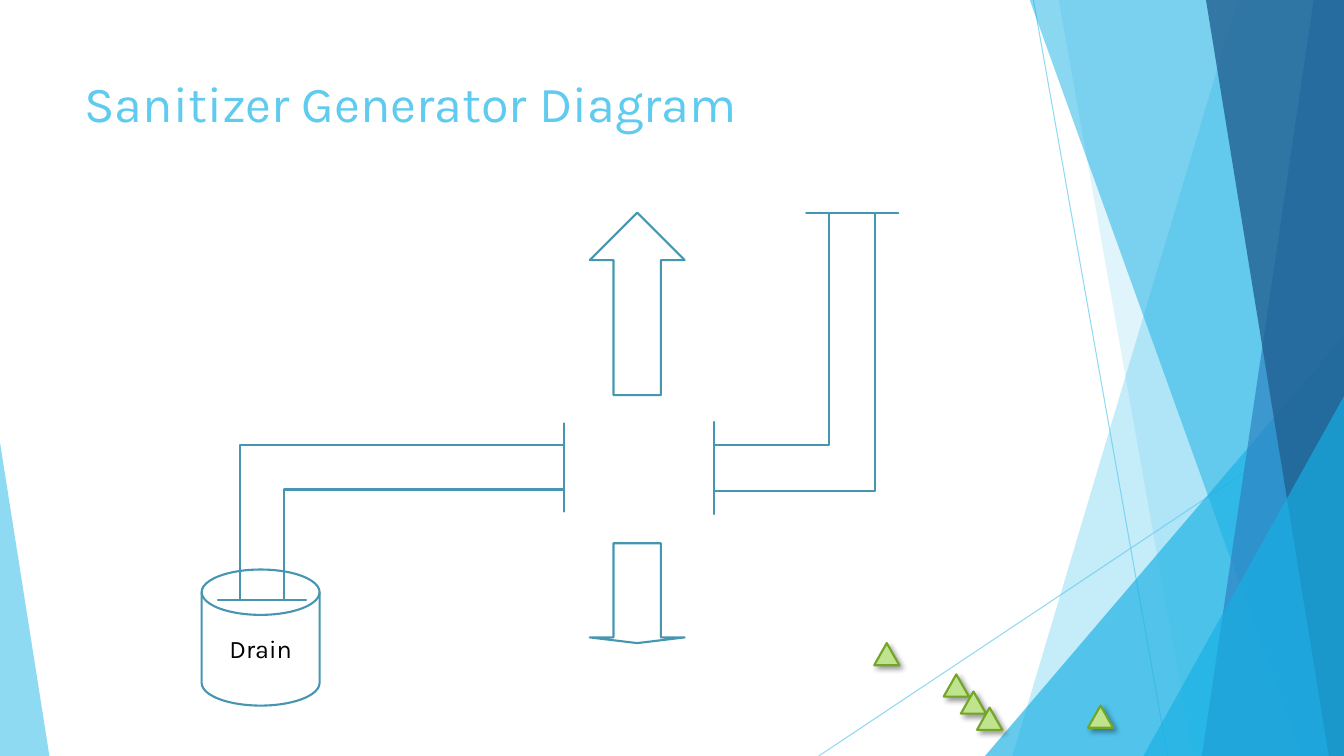
from lxml import etree
from pptx import Presentation
from pptx import util as u
from pptx.dml.color import RGBColor
from pptx.enum import shapes, text
from pptx.oxml import ns

HUES = {"sky": "5FCBEF", "cyan": "17B0E4", "blue": "2E83C3", "navy": "226292",
        "pipe": "4696B1", "leaf": "C0E38D", "stem": "72A528", "black": "000000"}
WIDE, HIGH = 13.33, 7.5
KIND = shapes.MSO_SHAPE
TITLE = "Sanitizer Generator Diagram"

RAYS = [(10.25, 0, 11.58, HIGH), (WIDE, 4.03, 8.12, HIGH)]
BLADES = [
    ("band", 12.28, 10.04, "sky", 36),
    ("band", 10.5, 11.83, "sky", 20),
    ("peak", (9.77, 3.33, 3.56, 4.17), 1, "cyan", 66),
    ("band", 10.21, 12.91, "cyan", 50),
    ("band", 13.03, 11.92, "blue", 70),
    ("band", 11.96, 13.18, "navy", 80),
    ("peak", (11.34, 3.93, 1.99, 3.57), 1, "cyan", 66),
    ("peak", (0, 4.39, 0.49, 3.11), 0, "sky", 70),
]
BEND = (0.25, 0.25, 0)
PARTS = [
    (KIND.LEFT_UP_ARROW, (7.08, 2.11, 1.83, 2.99), BEND, 0, False, ""),
    (KIND.FLOWCHART_MAGNETIC_DISK, (2, 5.65, 1.17, 1.35), (), 0, False, "Drain"),
    (KIND.LEFT_UP_ARROW, (3, 3.36, 1.75, 3.43), BEND, 270, True, ""),
    (KIND.UP_ARROW, (5.85, 2.11, 0.94, 1.81), (), 0, False, ""),
    (KIND.UP_ARROW, (5.85, 5.39, 0.94, 0.99), (0.5, 0.06), 0, True, ""),
]
MARKS = [(8.67, 6.38), (9.36, 6.69), (9.53, 6.86), (9.69, 7.02), (10.79, 7)]

deck = Presentation()
deck.slide_width, deck.slide_height = u.Inches(WIDE), u.Inches(HIGH)
slide = deck.slides.add_slide(deck.slide_layouts[6])
tree = slide.shapes


def put(item, **vals):
    for key, val in vals.items():
        setattr(item, key, val)


def lens(nums):
    return [u.Inches(n) for n in nums]


def sub(node, tag, **vals):
    return etree.SubElement(node, ns.qn("a:" + tag), {k: str(v) for k, v in vals.items()})


def tint(fill, hue, alpha=100):
    fill.solid()
    fill.fore_color.rgb = RGBColor.from_string(HUES[hue])
    if alpha < 100:
        color = fill._xPr.find(".//" + ns.qn("a:srgbClr"))
        sub(color, "alpha", val=alpha * 1000)


def edge(item, hue, width, alpha=100):
    tint(item.line.fill, hue, alpha)
    item.line.width = u.Pt(width)


def form(kind, box, adj=()):
    item = tree.add_shape(kind, *lens(box))
    item.shadow.inherit = False
    for i, val in enumerate(adj):
        item.adjustments[i] = val
    return item


def write(item, words, size, hue, align, anchor):
    frame = item.text_frame
    put(frame, word_wrap=True, vertical_anchor=anchor)
    para = frame.paragraphs[0]
    para.alignment = align
    run = para.add_run()
    run.text = words
    put(run.font, name="Karla", size=u.Pt(size))
    tint(run.font.fill, hue)


for ray in RAYS:
    line = tree.add_connector(shapes.MSO_CONNECTOR.STRAIGHT, *lens(ray))
    edge(line, "sky", 0.75, 70)
    sub(line._element.spPr, "effectLst")

for kind, *data, hue, alpha in BLADES:
    if kind == "band":
        top, foot = data
        pen = tree.build_freeform(*lens((top, -0.01)))
        ends = [(WIDE, -0.01), (WIDE, HIGH), (foot, HIGH)]
        pen.add_line_segments([lens(end) for end in ends], close=True)
        blade = pen.convert_to_shape()
        blade.shadow.inherit = False
    else:
        box, tip = data
        blade = form(KIND.ISOSCELES_TRIANGLE, box, [tip])
    tint(blade.fill, hue, alpha)
    blade.line.fill.background()

title = tree.add_textbox(*lens((0.74, 0.67, 9.4, 1.44)))
write(title, TITLE, 36, "sky", text.PP_ALIGN.LEFT, text.MSO_ANCHOR.TOP)

for kind, box, adj, turn, flip, words in PARTS:
    part = form(kind, box, adj)
    part.fill.background()
    edge(part, "pipe", 1.5)
    part.rotation = turn
    if flip:
        part._element.spPr.xfrm.set("flipV", "1")
    if words:
        write(part, words, 18, "black", text.PP_ALIGN.CENTER, text.MSO_ANCHOR.MIDDLE)

for spot in MARKS:
    mark = form(KIND.ISOSCELES_TRIANGLE, (*spot, 0.25, 0.22))
    tint(mark.fill, "leaf")
    edge(mark, "stem", 1.5)
    glow = mark._element.spPr.find(ns.qn("a:effectLst"))
    shade = sub(glow, "outerShdw", blurRad=u.Pt(4), dist=u.Pt(3), dir=45 * 60000,
                algn="tl", rotWithShape=0)
    sub(sub(shade, "srgbClr", val=HUES["black"]), "alpha", val=40000)

deck.save("out.pptx")
